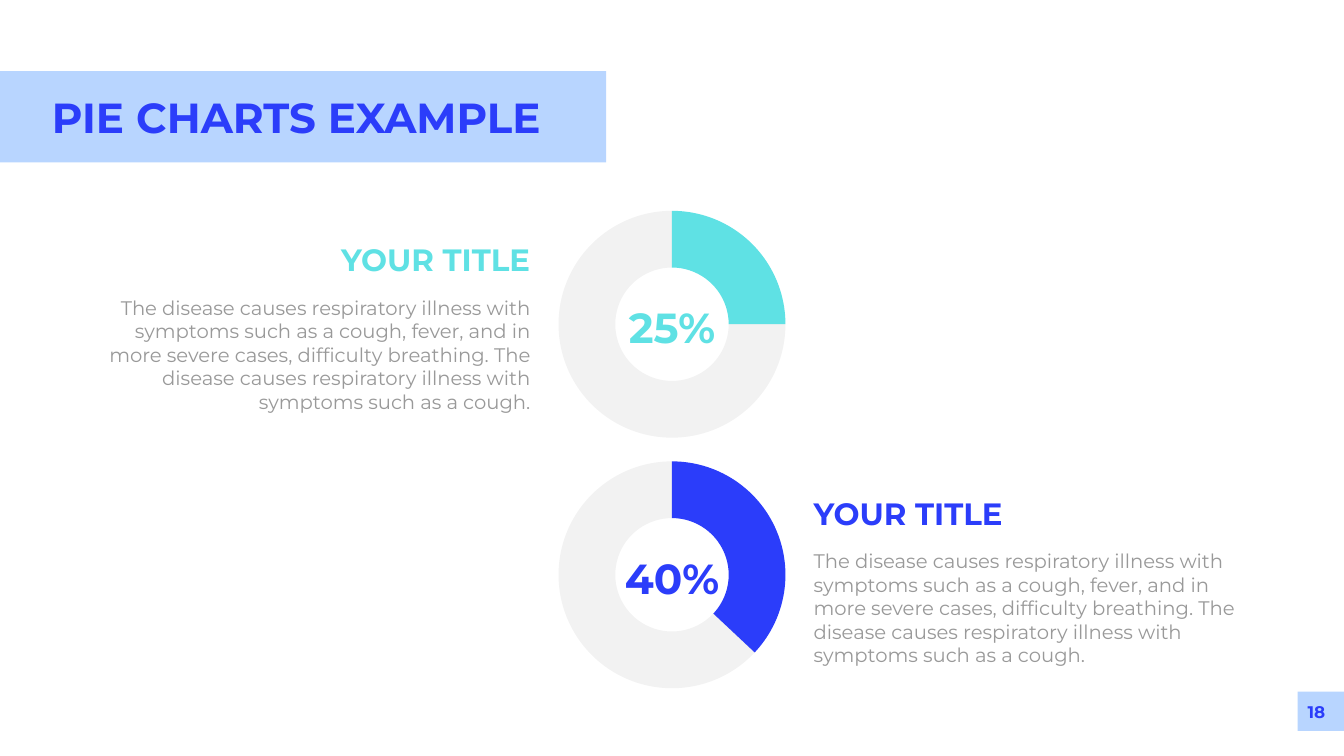
from dataclasses import dataclass

from lxml import etree
from pptx import Presentation
from pptx import util as u
from pptx.chart.data import CategoryChartData
from pptx.dml.color import RGBColor
from pptx.enum import chart as charts, shapes, text
from pptx.oxml import parse_xml
from pptx.oxml.ns import nsdecls, qn

WIDTH, HEIGHT = u.Inches(26.66), u.Inches(15)
BLUE, CYAN, PALE, GREY, TRACK = "2B3DFA", "5FE1E4", "B8D5FF", "999999", "808080"
LEFT, CENTER, RIGHT = text.PP_ALIGN.LEFT, text.PP_ALIGN.CENTER, text.PP_ALIGN.RIGHT
BODY = ("The disease causes respiratory illness with symptoms such as a cough, fever, "
        "and in more severe cases, difficulty breathing. The disease causes respiratory "
        "illness with symptoms such as a cough.")


@dataclass
class Box:
    """A rectangle in percent of the slide's width and height."""
    left: float
    top: float
    width: float
    height: float

    def place(self) -> tuple[int, int, int, int]:
        return (int(WIDTH * self.left / 100), int(HEIGHT * self.top / 100),
                int(WIDTH * self.width / 100), int(HEIGHT * self.height / 100))


@dataclass
class Ring:
    label: str
    share: int
    color: str
    top: float
    heading_top: float
    side: text.PP_ALIGN


RINGS = [
    Ring("25%", 25, CYAN, 26.93, 31.53, RIGHT),
    Ring("40%", 37, BLUE, 60.07, 65.07, LEFT),
]


def rgb(value: str) -> RGBColor:
    return RGBColor.from_string(value)


def add_band(slide, box: Box) -> None:
    shape = slide.shapes.add_shape(shapes.MSO_SHAPE.RECTANGLE, *box.place())
    shape.shadow.inherit = False
    shape.fill.solid()
    shape.fill.fore_color.rgb = rgb(PALE)
    shape.line.fill.background()


def add_text(slide, box: Box, words: str, size: float, color: str,
             align=LEFT, bold: bool = True, wrap: bool = True, **margins) -> None:
    frame = slide.shapes.add_textbox(*box.place()).text_frame
    for name, value in {"word_wrap": wrap, **margins}.items():
        setattr(frame, name, value)
    paragraph = frame.paragraphs[0]
    paragraph.alignment = align
    run = paragraph.add_run()
    run.text = words
    for name, value in {"name": "Montserrat", "size": u.Pt(size), "bold": bold}.items():
        setattr(run.font, name, value)
    run.font.color.rgb = rgb(color)


def add_doughnut(slide, box: Box, share: int, color: str) -> None:
    data = CategoryChartData()
    data.categories = ["1", "2"]
    data.add_series("Series 1", [share, 100 - share])
    chart = slide.shapes.add_chart(
        charts.XL_CHART_TYPE.DOUGHNUT, *box.place(), data).chart
    chart.has_legend = chart.has_title = False
    for name, value in {"name": "Calibri", "size": u.Pt(10)}.items():
        setattr(chart.font, name, value)
    chart.font.color.rgb = rgb(GREY)

    plot = chart.plots[0]
    plot.vary_by_categories = True
    for index, tone in enumerate([color, TRACK]):
        point = plot.series[0].points[index].format
        point.fill.solid()
        point.fill.fore_color.rgb = rgb(tone)
        point.line.fill.background()

    # Faint track, hole size and the room the ring takes in its frame
    space = chart.element
    for tone in space.iter(qn("a:srgbClr")):
        if tone.get("val") == TRACK:
            etree.SubElement(tone, qn("a:alpha"), val="10000")
    for hole in space.iter(qn("c:holeSize")):
        hole.set("val", "80")
    area = space.find(".//" + qn("c:plotArea"))
    for layout in area.findall(qn("c:layout")):
        area.remove(layout)
    parts = {"layoutTarget": "inner", "xMode": "edge", "yMode": "edge",
             "x": 0.04, "y": 0.03, "w": 0.92, "h": 0.94}
    settings = "".join(f'<c:{name} val="{value}"/>' for name, value in parts.items())
    area.insert(0, parse_xml(f'<c:layout {nsdecls("c")}><c:manualLayout>{settings}'
                             '</c:manualLayout></c:layout>'))


def add_ring(slide, ring: Ring) -> None:
    add_doughnut(slide, Box(40.72, ring.top, 18.56, 31.93), ring.share, ring.color)
    add_text(slide, Box(45.1, ring.top + 12.67, 9.8, 7.4),
             ring.label, 60, ring.color, CENTER)
    # Heading and body sit beside the ring, mirrored about the slide's middle
    for words, offset, width, height, size, color, bold in [
        (BODY, 7.23, 33.72, 16.4, 28, GREY, False),
        ("YOUR TITLE", 0, 29.78, 5.6, 44, ring.color, True),
    ]:
        left = 60.17 if ring.side == LEFT else 39.83 - width
        add_text(slide, Box(left, ring.heading_top + offset, width, height),
                 words, size, color, ring.side, bold)


def main() -> None:
    presentation = Presentation()
    presentation.slide_width, presentation.slide_height = WIDTH, HEIGHT
    slide = presentation.slides.add_slide(presentation.slide_layouts[6])

    # Page number
    add_band(slide, Box(96.55, 91.47, 3.45, 5.2))
    add_text(slide, Box(95.95, 92.13, 4, 4.07), "18", 24, BLUE, CENTER,
             wrap=False, margin_top=u.Inches(0.1), margin_bottom=u.Inches(0.1))

    # Title
    add_band(slide, Box(0, 9.4, 45.1, 12.07))
    add_text(slide, Box(3.49, 11.73, 38.63, 7.4), "PIE CHARTS EXAMPLE", 60, BLUE,
             wrap=False)

    # Rings with their texts
    for ring in RINGS:
        add_ring(slide, ring)

    presentation.save("out.pptx")


if __name__ == "__main__":
    main()
